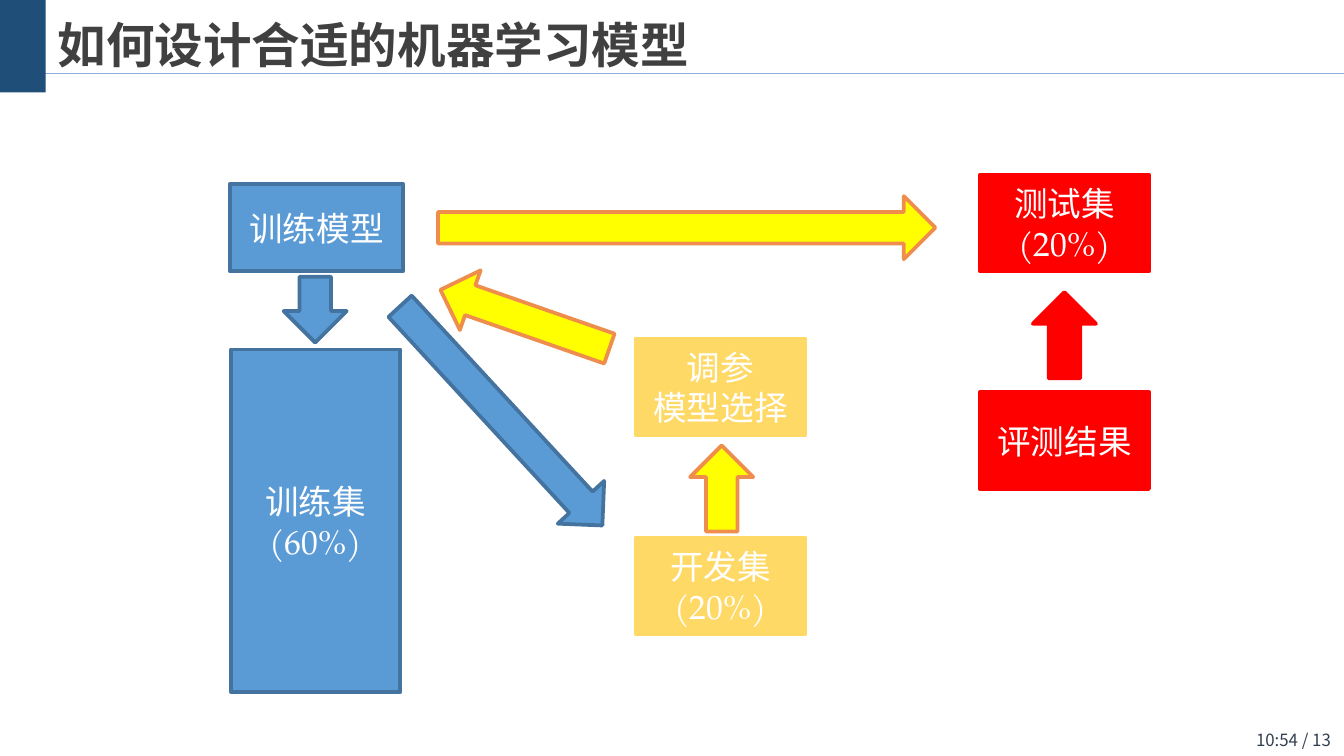
import pptx
import pptx.util
import pptx.dml.color
import pptx.enum.shapes
import pptx.enum.text
import pptx.oxml.ns
import lxml.etree

Pt = pptx.util.Pt
RGBColor = pptx.dml.color.RGBColor
Shape = pptx.enum.shapes.MSO_SHAPE
Align = pptx.enum.text.PP_ALIGN
Anchor = pptx.enum.text.MSO_ANCHOR
qn = pptx.oxml.ns.qn

NAVY = RGBColor(0x1F, 0x4E, 0x79)
RULE_BLUE = RGBColor(0x8F, 0xAA, 0xDC)
TITLE_GREY = RGBColor(0x40, 0x40, 0x40)
FOOTER_GREY = RGBColor(0x33, 0x3F, 0x50)
WHITE = RGBColor(0xFF, 0xFF, 0xFF)
BLUE = RGBColor(0x5B, 0x9B, 0xD5)
BLUE_EDGE = RGBColor(0x43, 0x73, 0x9E)
GOLD = RGBColor(0xFF, 0xD9, 0x66)
YELLOW = RGBColor(0xFF, 0xFF, 0x00)
ORANGE_EDGE = RGBColor(0xEF, 0x8E, 0x4C)
RED = RGBColor(0xFF, 0x00, 0x00)

CHINESE_FONT = "Noto Sans CJK SC"
TITLE_FORMAT = {"name": CHINESE_FONT, "size": Pt(26), "bold": True}
FOOTER_FORMAT = {"name": CHINESE_FONT, "size": Pt(9)}
LABEL_FORMAT = {"name": "TeX Gyre Pagella", "size": Pt(18)}


def write_text(frame, lines, font_format, color, align, anchor):
    frame.word_wrap = True
    frame.vertical_anchor = anchor
    for index, line in enumerate(lines):
        para = frame.paragraphs[0] if index == 0 else frame.add_paragraph()
        para.alignment = align
        span = para.add_run()
        span.text = line
        for name, value in font_format.items():
            setattr(span.font, name, value)
        span.font.color.rgb = color
        east_asian = lxml.etree.Element(qn("a:ea"), typeface=CHINESE_FONT)
        span.font._element.find(qn("a:latin")).addnext(east_asian)


def add_filled(page, kind, left, top, width, height, fill, edge=None):
    shape = page.shapes.add_shape(kind, Pt(left), Pt(top), Pt(width), Pt(height))
    shape.shadow.inherit = False
    shape.fill.solid()
    shape.fill.fore_color.rgb = fill
    if edge is None:
        shape.line.fill.background()
    else:
        shape.line.color.rgb = edge
        shape.line.width = Pt(2)
    return shape


def draw_header(page, left, top, width):
    rule_top = top + 39.5
    rule = page.shapes.add_connector(
        pptx.enum.shapes.MSO_CONNECTOR.STRAIGHT,
        Pt(left), Pt(rule_top), Pt(left + width), Pt(rule_top))
    rule.line.color.rgb = RULE_BLUE
    rule.line.width = Pt(0.75)
    lxml.etree.SubElement(rule._element.spPr, qn("a:effectLst"))
    add_filled(page, Shape.RECTANGLE, left, top, 24.5, 49.5, NAVY)
    box = page.shapes.add_textbox(Pt(left + 23.8), Pt(top + 5), Pt(401), Pt(36))
    box.text_frame.margin_top = Pt(0)
    box.text_frame.margin_bottom = Pt(1.5)
    write_text(box.text_frame, ["如何设计合适的机器学习模型"],
               TITLE_FORMAT, TITLE_GREY, Align.LEFT, Anchor.BOTTOM)


def draw_footer(page, left, top, width, height):
    box = page.shapes.add_textbox(Pt(left), Pt(top), Pt(width), Pt(height))
    write_text(box.text_frame, ["10:54 / 13"],
               FOOTER_FORMAT, FOOTER_GREY, Align.RIGHT, Anchor.TOP)


def draw_flow(page, left, top):
    card_width, card_height, arrow_height = 90.7, 51.8, 33.8
    dev_left, test_left = 217.6, 401.9
    cards = [
        (["训练集", "(60%)"], 0.8, 94.2, card_width, 183.6, BLUE, BLUE_EDGE),
        (["训练模型"], 0.1, 5.6, 92.9, 46.8, BLUE, BLUE_EDGE),
        (["开发集", "(20%)"], dev_left, 195, card_width, card_height, GOLD, GOLD),
        (["调参", "模型选择"], dev_left, 88.4, card_width, card_height, GOLD, GOLD),
        (["测试集", "(20%)"], test_left, 0.6, card_width, card_height, RED, RED),
        (["评测结果"], test_left, 117.2, card_width, card_height, RED, RED),
    ]
    arrows = [
        (28.2, 56, 35.3, 90, BLUE, BLUE_EDGE),
        (65.6, 112.9, 159.8, 47.3, BLUE, BLUE_EDGE),
        (240.6, 151.8, 46.1, 270, YELLOW, ORANGE_EDGE),
        (110.3, 61.1, 95.8, 199.2, YELLOW, ORANGE_EDGE),
        (111.7, 12.1, 266.4, 0, YELLOW, ORANGE_EDGE),
        (424.2, 69.7, 46.1, 270, RED, RED),
    ]
    for lines, across, down, width, height, fill, edge in cards:
        card = add_filled(page, Shape.RECTANGLE, left + across, top + down,
                          width, height, fill, edge)
        write_text(card.text_frame, lines, LABEL_FORMAT, WHITE,
                   Align.CENTER, Anchor.MIDDLE)
    for across, down, length, angle, fill, edge in arrows:
        arrow = add_filled(page, Shape.RIGHT_ARROW, left + across, top + down,
                           length, arrow_height, fill, edge)
        arrow.rotation = angle


def main():
    deck = pptx.Presentation()
    deck.slide_width = Pt(720)
    deck.slide_height = Pt(405)
    page = deck.slides.add_slide(deck.slide_layouts[6])
    draw_header(page, 0, 0, 720)
    draw_flow(page, 123, 93)
    draw_footer(page, 653, 387.4, 67, 18)
    deck.save("out.pptx")


if __name__ == "__main__":
    main()
